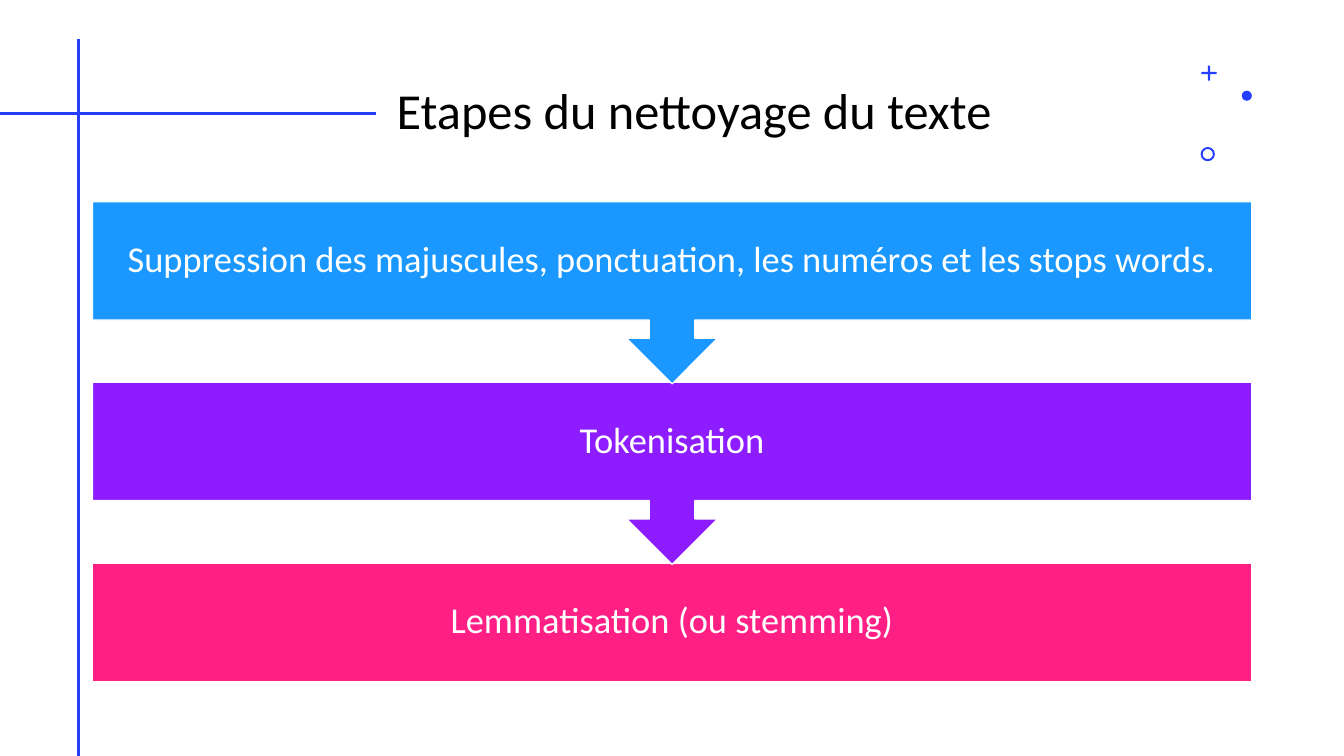
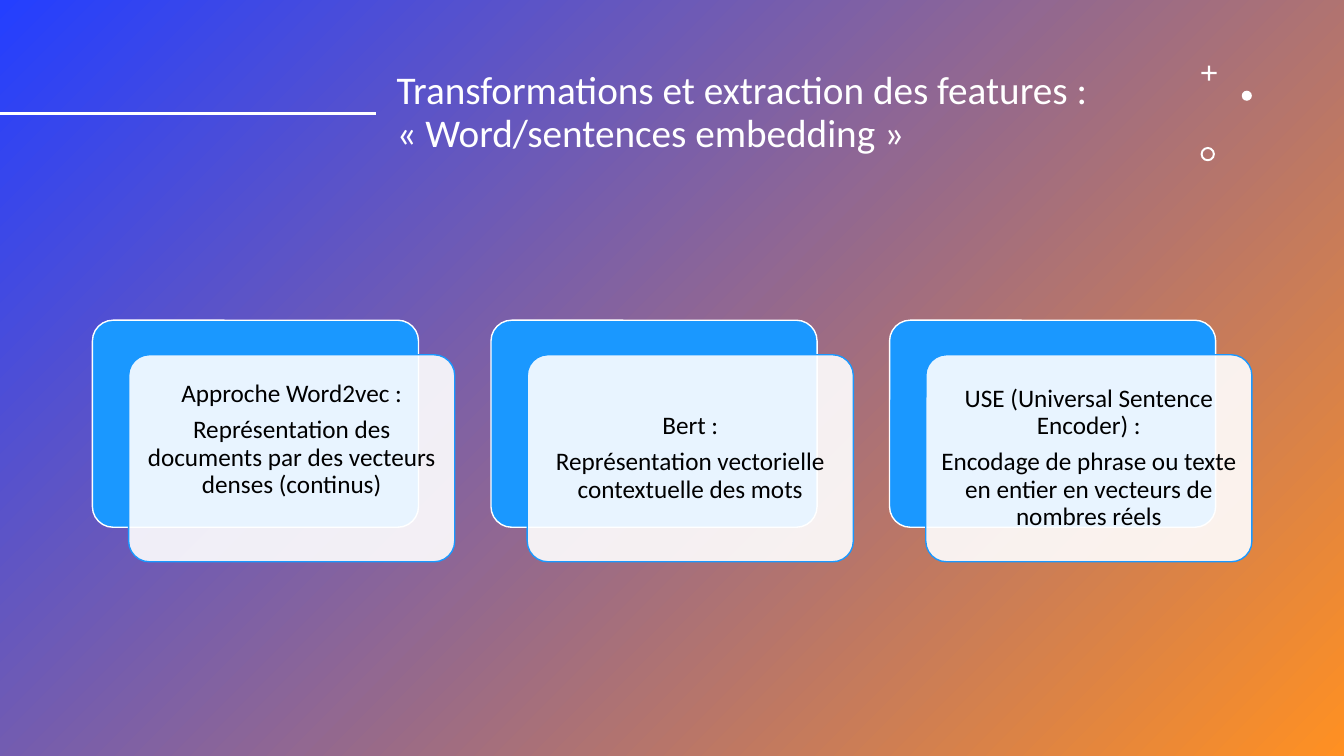
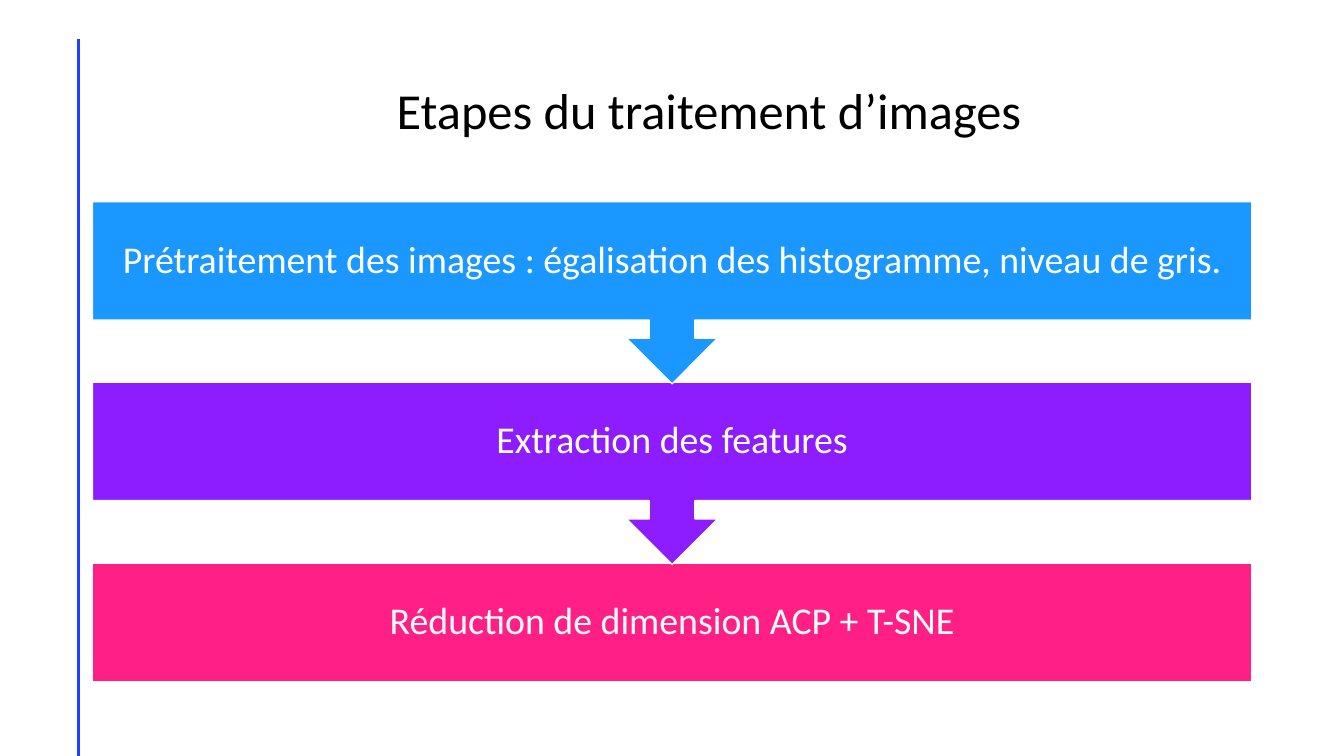
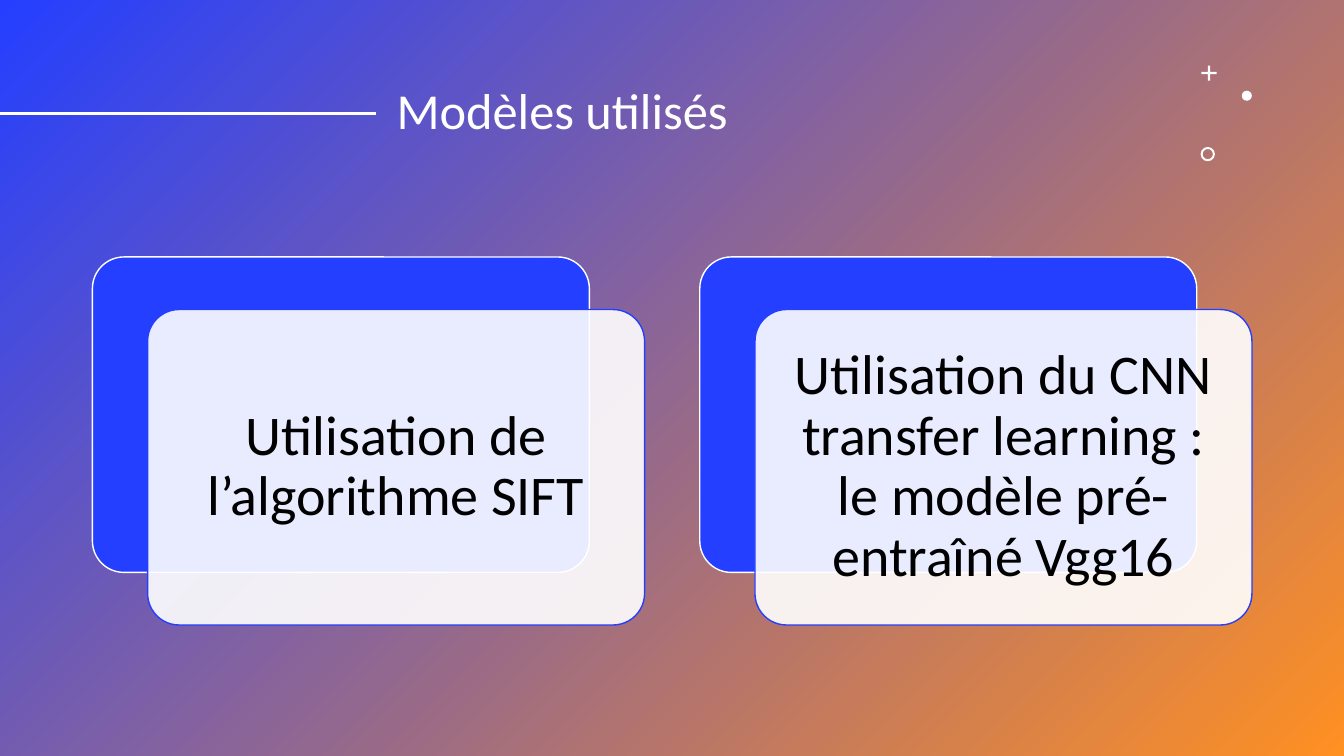
from lxml import etree
from pptx import Presentation
from pptx.dml.color import RGBColor
from pptx.enum.shapes import MSO_CONNECTOR, MSO_SHAPE
from pptx.enum.text import MSO_ANCHOR, MSO_AUTO_SIZE, PP_ALIGN
from pptx.oxml.ns import qn
from pptx.util import Inches, Pt

RECT, ROUND = MSO_SHAPE.RECTANGLE, MSO_SHAPE.ROUNDED_RECTANGLE
CALLOUT = MSO_SHAPE.DOWN_ARROW_CALLOUT
CROSS, DOT, RING = MSO_SHAPE.CROSS, MSO_SHAPE.OVAL, MSO_SHAPE.DONUT
STRAIGHT = MSO_CONNECTOR.STRAIGHT
MIDDLE, NO_FIT = MSO_ANCHOR.MIDDLE, MSO_AUTO_SIZE.NONE
LEFT, CENTER = PP_ALIGN.LEFT, PP_ALIGN.CENTER

FONT = "Calibri"
WHITE, BLACK = "FFFFFF", "000000"
BLUE, ORANGE = "243FFF", "FF9022"
SKY, VIOLET, PINK = "1A98FF", "8D1DFF", "FF1F85"

# Grid of 160 columns and 90 rows, square cells
COLS, ROWS = 160, 90
SIDE, SPAN, MID = 11, 138, 52.5  # body: left edge, width, middle row


def rgb(code):
    return RGBColor.from_string(code)


class Deck:
    def __init__(self):
        self.prs = Presentation()
        self.prs.slide_width = Inches(13.33)
        self.prs.slide_height = Inches(7.5)
        self.cell = self.prs.slide_height / ROWS

    def grid(self, *cells):
        return [round(n * self.cell) for n in cells]

    def page(self, title, size=36, dark=False):
        """Start a slide with its background, title and side rule."""
        self.slide = self.prs.slides.add_slide(self.prs.slide_layouts[5])
        self.ink = WHITE if dark else BLUE
        if dark:
            fill = self.slide.background.fill
            fill.gradient()
            fill.gradient_angle = 315
            for stop, code in zip(fill.gradient_stops, (BLUE, ORANGE)):
                stop.color.rgb = rgb(code)
        else:
            self.line(9.33, 4.7, 9.33, ROWS)
        head = self.slide.shapes.title
        head.left, head.top, head.width, head.height = self.grid(46, 4.8, 94, 17.4)
        self.text(head, [title], size, WHITE if dark else BLACK, align=LEFT)

    def line(self, *ends):
        rule = self.slide.shapes.add_connector(STRAIGHT, *self.grid(*ends))
        rule.line.color.rgb = rgb(self.ink)
        rule.line.width = Pt(2.25)
        etree.SubElement(rule._element.spPr, qn("a:effectLst"))

    def shape(self, kind, x, y, w, h, fill, edge=None, adj=None, alpha=None):
        item = self.slide.shapes.add_shape(kind, *self.grid(x, y, w, h))
        item.shadow.inherit = False
        item.fill.solid()
        item.fill.fore_color.rgb = rgb(fill)
        if alpha:
            tint = item.fill._xPr.find(qn("a:solidFill"))[0]
            etree.SubElement(tint, qn("a:alpha"), val=str(alpha * 1000))
        if edge:
            item.line.color.rgb = rgb(edge)
            item.line.width = Pt(1)
        else:
            item.line.fill.background()
        if adj is not None:
            item.adjustments[0] = adj
        return item

    def text(self, item, lines, size, color, align=CENTER, pad=None, lift=0):
        """Write lines; pad is the inset and lift the extra one below, in points."""
        frame = item.text_frame
        frame.word_wrap, frame.auto_size = True, NO_FIT
        frame.vertical_anchor = MIDDLE
        if pad:
            frame.margin_left = frame.margin_right = frame.margin_top = Pt(pad)
            frame.margin_bottom = Pt(pad + lift)
        for i, words in enumerate(lines):
            para = frame.add_paragraph() if i else frame.paragraphs[0]
            para.text = words
            para.alignment, para.line_spacing = align, 0.9
            para.space_before, para.space_after = Pt(0), Pt(0.35 * size)
            para.font.name, para.font.size = FONT, Pt(size)
            para.font.color.rgb = rgb(color)

    def decor(self):
        """Rule before the title and the three marks at top right."""
        self.line(0, 13.5, 44.8, 13.5)
        self.shape(CROSS, 143, 7.8, 1.8, 1.8, self.ink, adj=0.43)
        self.shape(DOT, 147.8, 10.8, 1.2, 1.2, self.ink)
        self.shape(RING, 142.9, 17.5, 1.7, 1.7, self.ink, adj=0.14)

    def flow(self, steps, size, pad):
        """Stacked bars; each but the last points down to the next."""
        top, step, tall, last = 24, 21.5, 21.7, 14.1
        rows = list(enumerate(zip(steps, (SKY, VIOLET, PINK))))
        for i, (words, fill) in reversed(rows):
            end = i == len(rows) - 1
            bar = self.shape(RECT if end else CALLOUT, SIDE, top + i * step,
                             SPAN, last if end else tall, fill, WHITE)
            self.text(bar, [words], size, WHITE, pad=pad)

    def cards(self, items, size, color, pad):
        """Equal cards, each over a shifted plate; items are (lines, lift)."""
        wide = SPAN * 9 / (11 * len(items) - 1)
        tall = 0.635 * wide
        dx, dy = wide / 9, tall / 6
        top = MID - (tall + dy) / 2
        for i, (lines, lift) in enumerate(items):
            x = SIDE + i * wide * 11 / 9
            self.shape(ROUND, x, top, wide, tall, color, WHITE, 0.1)
            card = self.shape(ROUND, x + dx, top + dy, wide, tall,
                              WHITE, color, 0.1, alpha=90)
            self.text(card, lines, size, BLACK, pad=pad, lift=lift)


def main():
    deck = Deck()

    # Text cleaning
    deck.page("Etapes du nettoyage du texte")
    deck.decor()
    deck.flow(["Suppression des majuscules, ponctuation, les numéros et les stops words.",
               "Tokenisation",
               "Lemmatisation (ou stemming)"], 26, 14.5)

    # Embeddings
    deck.page("Transformations et extraction des features :\n"
              "« Word/sentences embedding »", 28, dark=True)
    deck.decor()
    deck.cards([
        (["Approche Word2vec :",
          "Représentation des documents par des vecteurs denses (continus)"], 26),
        (["Bert :", "Représentation vectorielle contextuelle des mots"], 0),
        (["USE (Universal Sentence Encoder) :",
          "Encodage de phrase ou texte en entier en vecteurs de nombres réels"], 0),
    ], 18, SKY, 5)

    # Image processing
    deck.page("Etapes du traitement d’images")
    deck.flow(["Prétraitement des images : égalisation des histogramme, niveau de gris.",
               "Extraction des features",
               "Réduction de dimension ACP + T-SNE"], 27, 15)

    # Models
    deck.page("Modèles utilisés", dark=True)
    deck.decor()
    deck.cards([
        (["Utilisation de l’algorithme SIFT"], 0),
        (["Utilisation du CNN transfer learning : le modèle pré-entraîné Vgg16"], 0),
    ], 40, BLUE, 12)

    deck.prs.save("out.pptx")


if __name__ == "__main__":
    main()
